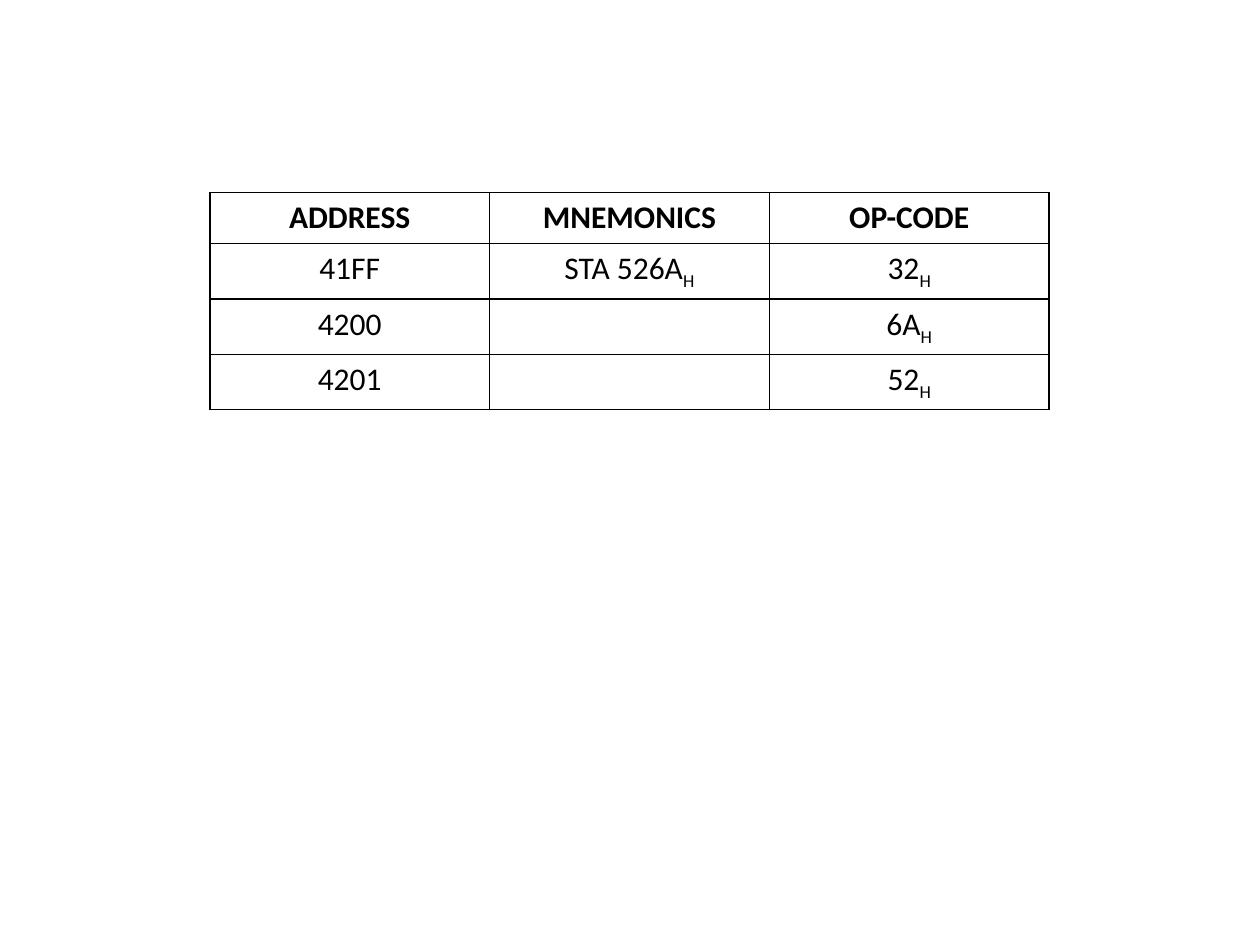
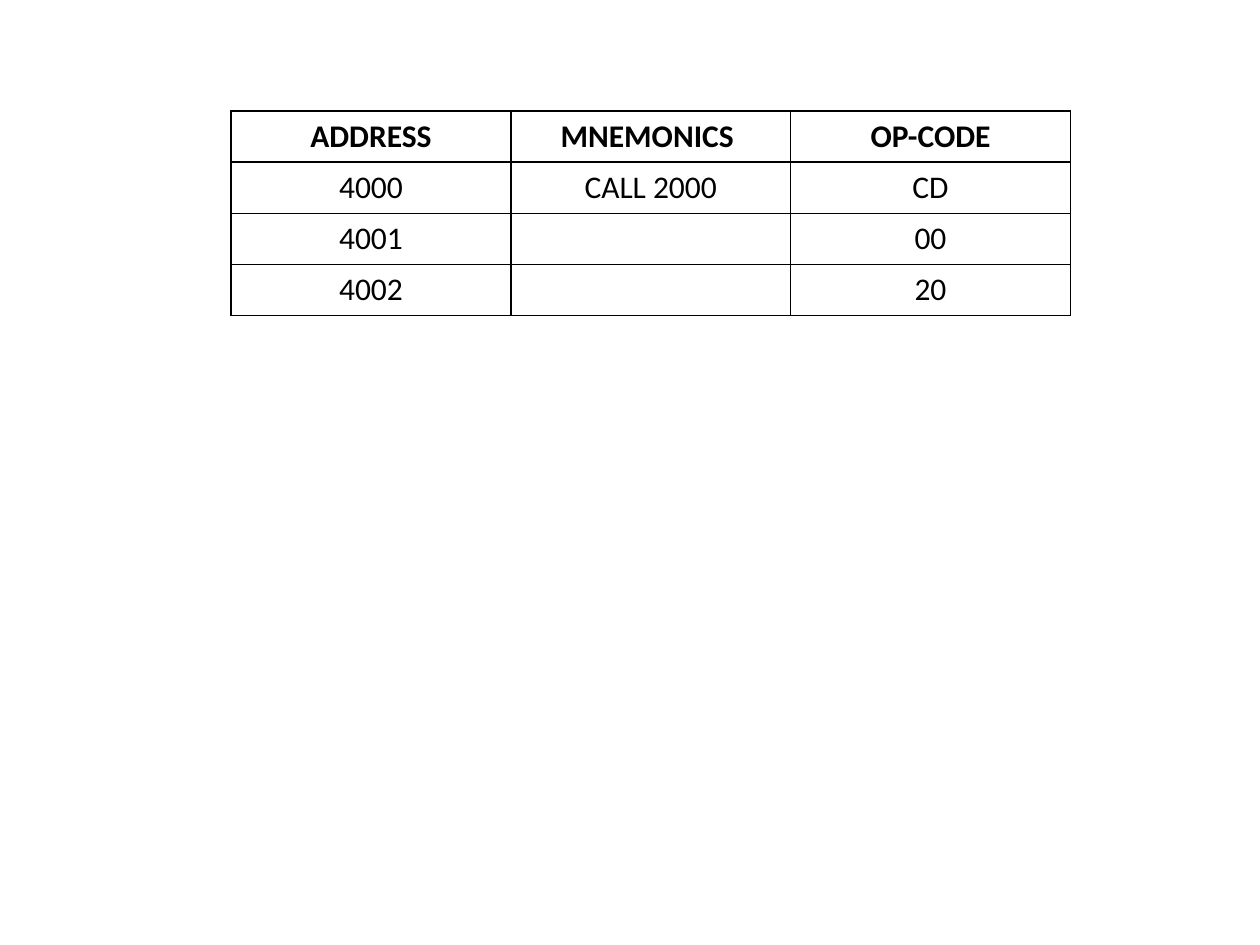
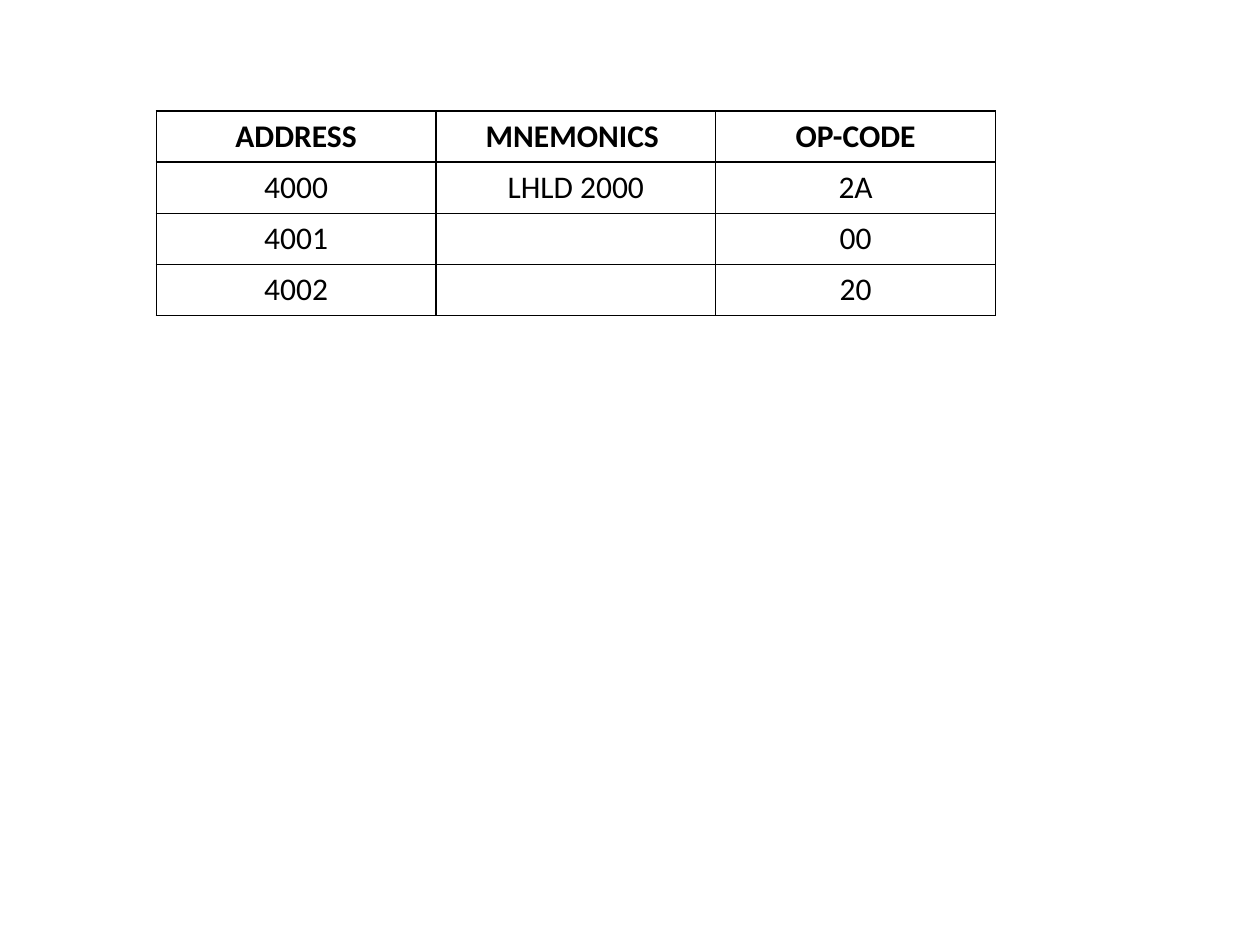
from dataclasses import dataclass

from lxml.etree import SubElement
from pptx import Presentation
from pptx.dml.color import RGBColor
from pptx.enum.text import PP_ALIGN
from pptx.oxml.ns import qn
from pptx.util import Cm, Pt


@dataclass(frozen=True)
class Theme:
    """Colours, type and table measures shared by the slides."""
    ink: str = "000000"
    paper: str = "FFFFFF"
    font: str = "Calibri"
    size: int = 18
    border: int = 1
    col_width: float = 5.64
    row_height: float = 1.03


class Deck:
    """Holds the theme, the presentation and the current slide."""

    def __init__(self, theme):
        """Start an empty presentation of 10 by 7.5 inches."""
        self.theme = theme
        self.prs = Presentation()
        self.prs.slide_width, self.prs.slide_height = Cm(25.4), Cm(19.05)
        self.s = None

    def slide(self):
        """Add a blank slide and make it current."""
        self.s = self.prs.slides.add_slide(self.prs.slide_layouts[6])
        fill = self.s.background.fill
        fill.solid()
        fill.fore_color.rgb = RGBColor.from_string(self.theme.paper)

    def border(self, cell):
        """Draw a solid line on all four sides of a cell."""
        tc_pr = cell._tc.get_or_add_tcPr()
        for side in ("a:lnL", "a:lnR", "a:lnT", "a:lnB"):
            ln = SubElement(tc_pr, qn(side), w=str(Pt(self.theme.border)))
            solid = SubElement(ln, qn("a:solidFill"))
            SubElement(solid, qn("a:srgbClr"), val=self.theme.ink)

    def run(self, p, text, bold, subscript=False):
        """Add one formatted run to a paragraph."""
        r = p.add_run()
        r.text = text
        style = {"name": self.theme.font, "size": Pt(self.theme.size), "bold": bold}
        for name, value in style.items():
            setattr(r.font, name, value)
        r.font.color.rgb = RGBColor.from_string(self.theme.ink)
        if subscript:
            r._r.get_or_add_rPr().set("baseline", "-25000")

    def cell(self, cell, text, bold):
        """Fill a cell; what follows an underscore is a subscript."""
        self.border(cell)
        cell.fill.background()
        p = cell.text_frame.paragraphs[0]
        p.alignment = PP_ALIGN.CENTER
        base, _, sub = text.partition("_")
        if base:
            self.run(p, base, bold)
        if sub:
            self.run(p, sub, bold, subscript=True)

    def table(self, left, top, rows):
        """Add a bordered table whose first row is bold."""
        t = self.theme
        n_rows, n_cols = len(rows), len(rows[0])
        table = self.s.shapes.add_table(
            n_rows, n_cols, Cm(left), Cm(top),
            Cm(t.col_width * n_cols), Cm(t.row_height * n_rows)).table
        table.first_row = table.horz_banding = False
        for i, row in enumerate(rows):
            for j, text in enumerate(row):
                self.cell(table.cell(i, j), text, bold=i == 0)


HEADER = ("ADDRESS", "MNEMONICS", "OP-CODE")
SPACED_HEADER = ("ADDRESS", "MNEMONICS ", "OP-CODE")

LISTINGS = [
    (4.23, 3.88, [HEADER, ("41FF", "STA 526A_H", "32_H"),
                  ("4200", "", "6A_H"), ("4201", "", "52_H")]),
    (4.66, 2.24, [SPACED_HEADER, ("4000", "CALL 2000", "CD"),
                  ("4001", "", "00"), ("4002", "", "20")]),
    (3.15, 2.24, [SPACED_HEADER, ("4000", "LHLD 2000", "2A"),
                  ("4001", "", "00"), ("4002", "", "20")]),
]


def main():
    """Build one slide for each instruction listing."""
    deck = Deck(Theme())
    for left, top, rows in LISTINGS:
        deck.slide()
        deck.table(left, top, rows)
    deck.prs.save("out.pptx")


if __name__ == "__main__":
    main()
